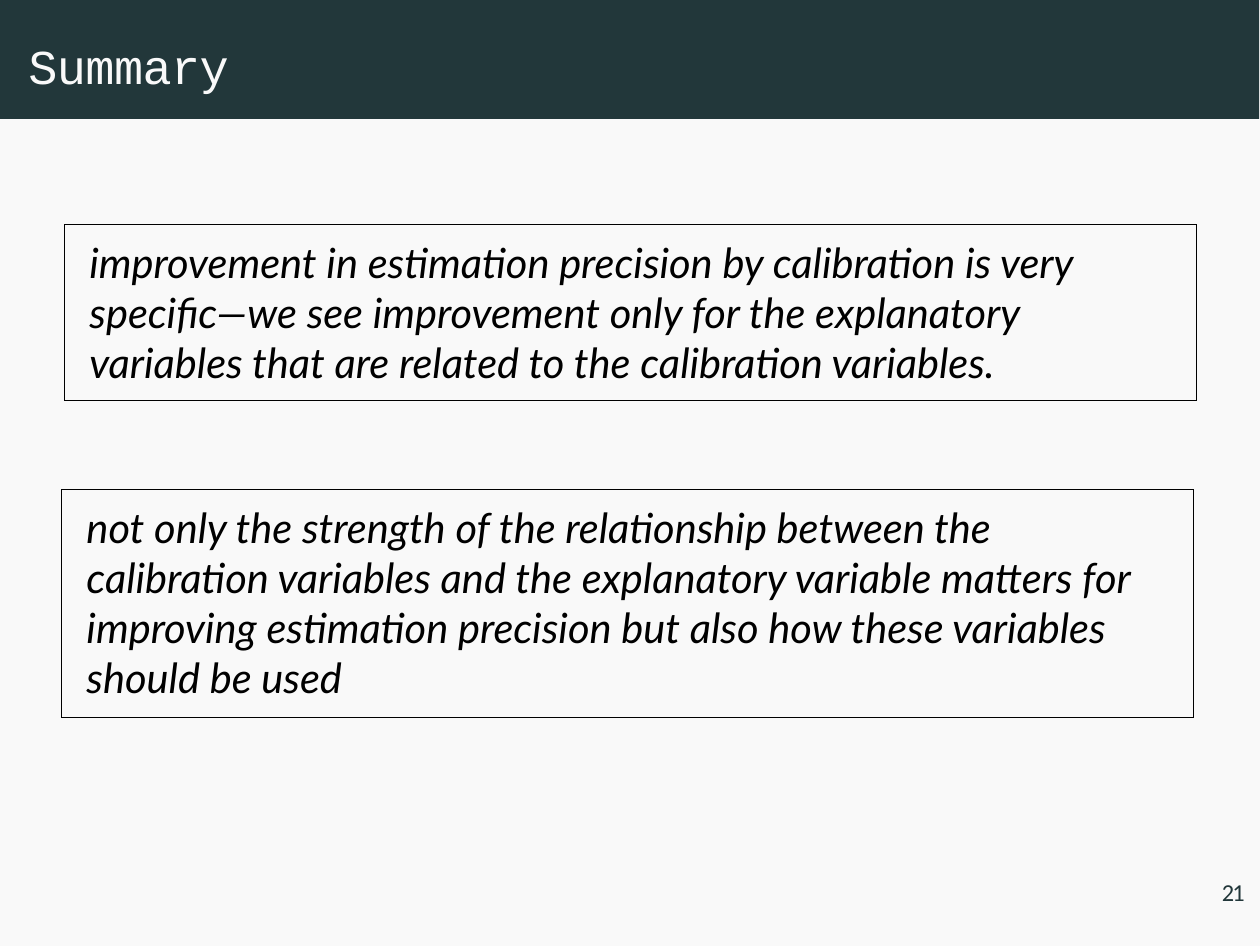
from pptx import Presentation
from pptx.dml.color import RGBColor
from pptx.enum.shapes import MSO_SHAPE as Shape
from pptx.enum.text import MSO_AUTO_SIZE as AutoSize
from pptx.util import Cm, Pt

PAPER = RGBColor(0xF9, 0xF9, 0xF9)
SLATE = RGBColor(0x22, 0x37, 0x3A)
BLACK = RGBColor(0x00, 0x00, 0x00)

# The page is a whole number of half points
PAGE_WIDTH, PAGE_HEIGHT = Pt(363), Pt(272.5)

# left, top, width, height in cm, then the wording
FINDINGS = [
    (0.66, 2.28, 11.5, 1.79,
     "improvement in estimation precision by calibration is very "
     "specific—we see improvement only for the explanatory "
     "variables that are related to the calibration variables."),
    (0.63, 4.98, 11.5, 2.31,
     "not only the strength of the relationship between the "
     "calibration variables and the explanatory variable matters for "
     "improving estimation precision but also how these variables "
     "should be used"),
]


def add_run(paragraph, text, font_name, size, color, italic=False, spacing=0):
    """Add a run; spacing is the tracking in points."""
    run = paragraph.add_run()
    run.text = text
    font = run.font
    font.name, font.size, font.italic = font_name, Pt(size), italic
    font.color.rgb = color
    if spacing:
        run._r.get_or_add_rPr().set("spc", str(round(spacing * 100)))


def add_band(slide):
    band = slide.shapes.add_shape(
        Shape.RECTANGLE, Cm(0), Cm(0), Cm(12.8), Cm(1.21))
    band.shadow.inherit = False
    band.fill.solid()
    band.fill.fore_color.rgb = SLATE
    band.line.fill.background()


def add_text_box(slide, left, top, width, height):
    return slide.shapes.add_textbox(
        Cm(left), Cm(top), Cm(width), Cm(height))


def add_label(slide, left, top, width, height, text, **style):
    """Add a one-line text box without inner margins."""
    frame = add_text_box(slide, left, top, width, height).text_frame
    frame.margin_left = frame.margin_right = 0
    frame.margin_top = frame.margin_bottom = 0
    add_run(frame.paragraphs[0], text, **style)


def add_finding(slide, left, top, width, height, text):
    """Add an outlined box with an italic statement."""
    box = add_text_box(slide, left, top, width, height)
    box.line.color.rgb = BLACK
    frame = box.text_frame
    frame.word_wrap = True
    frame.auto_size = AutoSize.SHAPE_TO_FIT_TEXT
    add_run(frame.paragraphs[0], text, "Lato", 12, BLACK, italic=True)


def main():
    deck = Presentation()
    deck.slide_width, deck.slide_height = PAGE_WIDTH, PAGE_HEIGHT
    slide = deck.slides.add_slide(deck.slide_layouts[6])
    slide.background.fill.solid()
    slide.background.fill.fore_color.rgb = PAPER

    add_band(slide)
    add_label(slide, 0.29, 0.37, 12.5, 0.6, "Summary",
              font_name="Courier New", size=14, color=PAPER, spacing=-0.2)
    for finding in FINDINGS:
        add_finding(slide, *finding)
    add_label(slide, 12.42, 8.91, 0.25, 0.3, "21",
              font_name="Calibri", size=7, color=SLATE, spacing=-0.5)
    deck.save("out.pptx")


if __name__ == "__main__":
    main()
